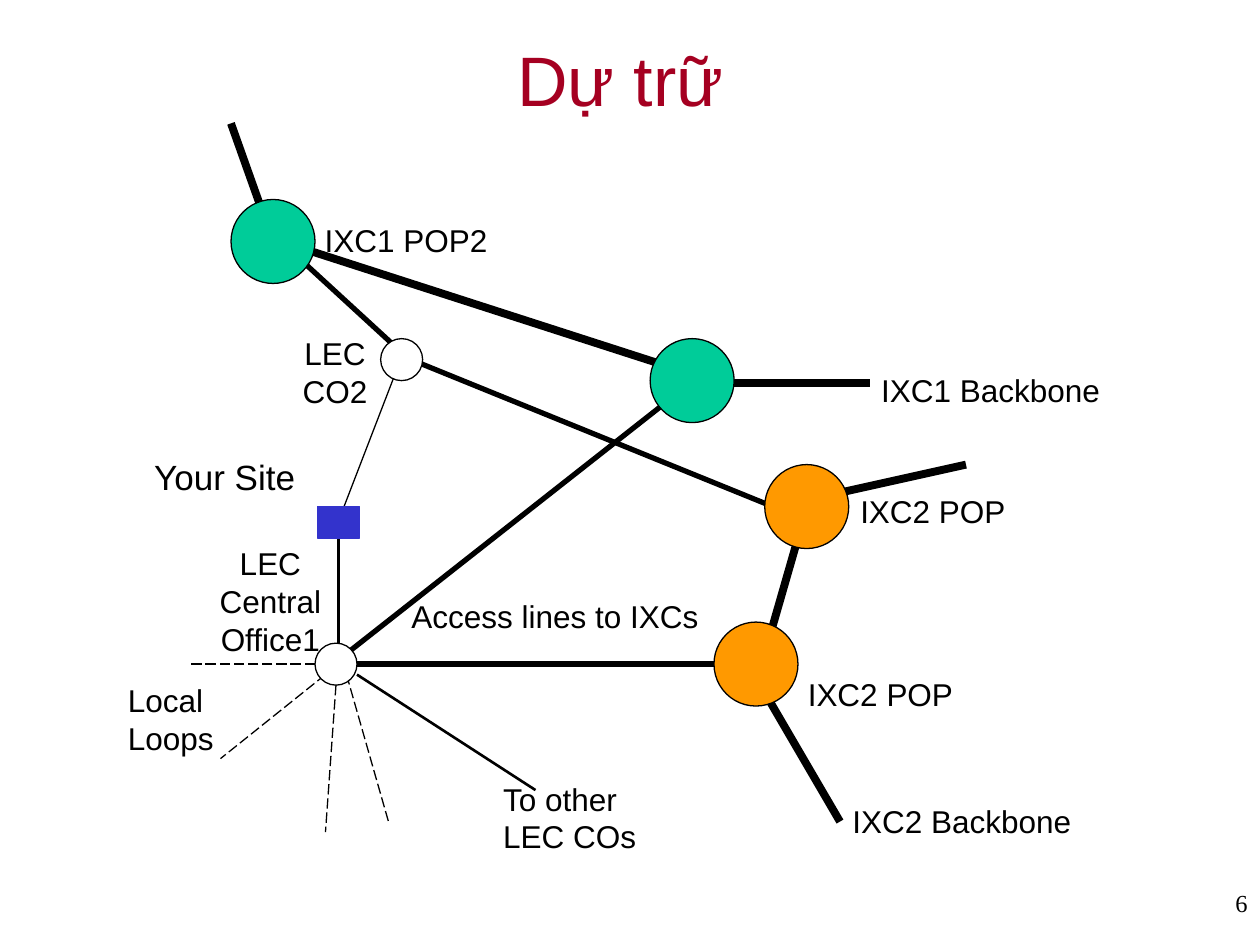
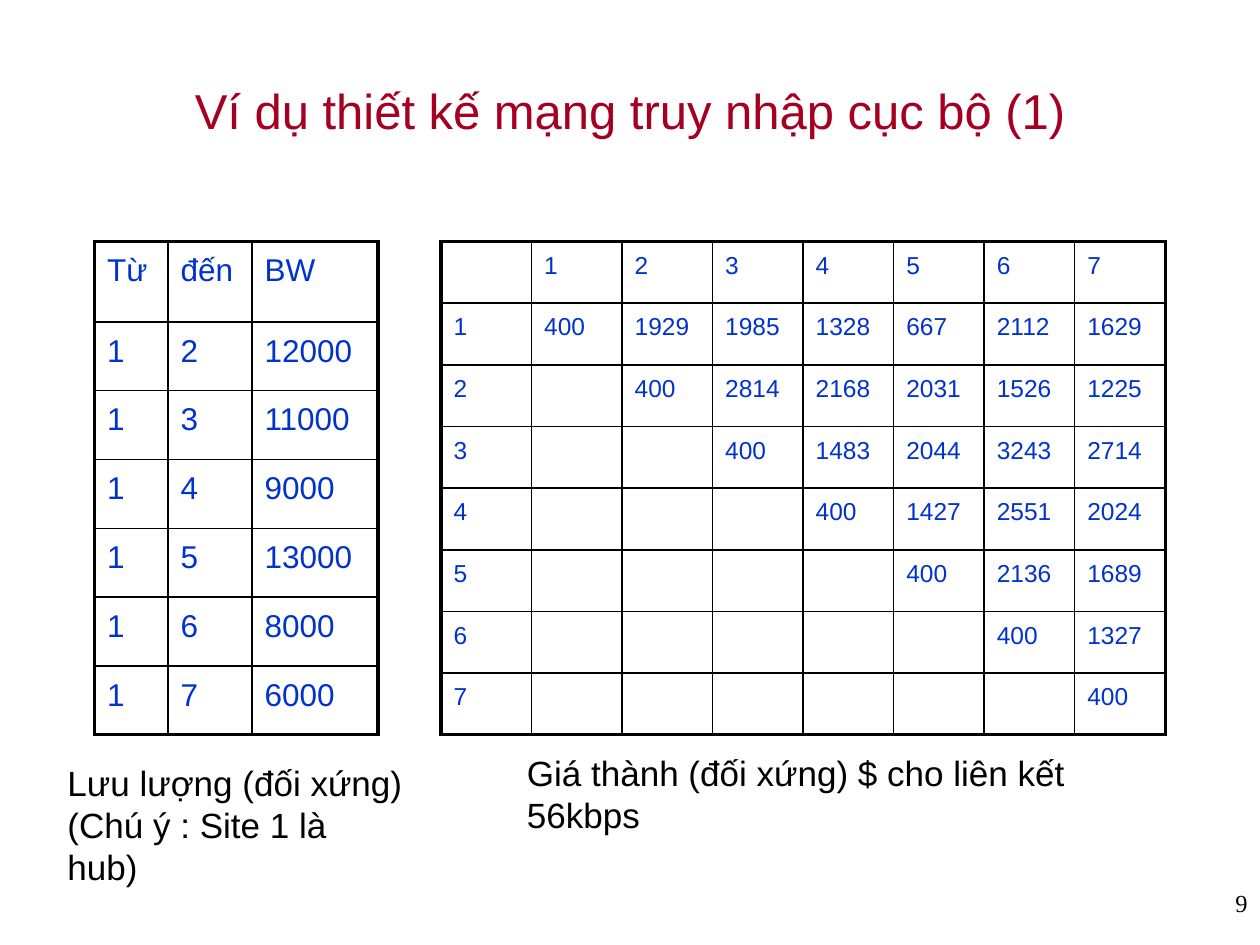
"""Build two slides on access network design: redundancy and a local access example."""
from dataclasses import dataclass
from typing import NamedTuple

from lxml import etree
from pptx import Presentation
from pptx.dml.color import RGBColor
from pptx.enum import dml, shapes, text
from pptx.oxml import ns
from pptx.util import Pt


@dataclass(frozen=True)
class Theme:
    """Colours, fonts and sizes shared by the slides."""
    black: str = "000000"
    white: str = "FFFFFF"
    title: str = "A50021"
    table_ink: str = "0033CC"
    carrier_1: str = "00CC99"
    carrier_2: str = "FF9900"
    site: str = "3333CC"
    font: str = "Arial"
    number_font: str = "Times New Roman"
    title_size: float = 40
    long_title_size: float = 28
    caption_size: float = 20
    label_size: float = 18
    small_size: float = 14
    hairline: float = 0.75
    inner_border: float = 1
    outer_border: float = 2.25
    loop_line: float = 1.5
    access_line: float = 3
    backbone: float = 4.5


class Box(NamedTuple):
    """A frame in points."""
    left: float
    top: float
    width: float
    height: float


class Link(NamedTuple):
    """A straight line between two points."""
    x1: float
    y1: float
    x2: float
    y2: float
    weight: float
    dashed: bool = False


class Circle(NamedTuple):
    """A round network node."""
    left: float
    top: float
    size: float
    fill: str


class Label(NamedTuple):
    """A text frame with one or more lines."""
    box: Box
    lines: tuple[str, ...]
    size: float
    align: text.PP_ALIGN = text.PP_ALIGN.LEFT


THEME = Theme()
SLIDE_SIZE = (720, 540)
NUMBER_BOX = Box(570, 504, 150, 36)

LINKS = (
    Link(471, 283.5, 552, 265.5, THEME.backbone),
    Link(132, 70.5, 156, 138, THEME.backbone),
    Link(160.5, 138, 228, 200, THEME.access_line),
    Link(228, 208, 193.5, 297.5, THEME.hairline),
    Link(180, 379.5, 108, 379.5, THEME.hairline, True),
    Link(186, 385.5, 126, 433.5, THEME.hairline, True),
    Link(198, 385.5, 222, 469.5, THEME.hairline, True),
    Link(192, 391.5, 186, 475.5, THEME.hairline, True),
    Link(198, 373.5, 394.5, 219, THEME.access_line),
    Link(204, 379.5, 408, 379.5, THEME.access_line),
    Link(394.5, 219, 497, 219, THEME.backbone),
    Link(407, 217.5, 160.5, 138, THEME.backbone),
    Link(437, 373.5, 456, 307.5, THEME.backbone),
    Link(438, 397.5, 480, 469.5, THEME.backbone),
    Link(204, 385.5, 306, 451.5, THEME.loop_line),
    Link(241, 208, 438, 288, THEME.access_line),
)
SITE = Box(181.5, 289.5, 24, 18)
SITE_LOOP = Link(193.5, 368, 193.5, 307.5, THEME.loop_line)
CIRCLES = (
    Circle(371.5, 193.5, 48, THEME.carrier_1),
    Circle(132, 114, 48, THEME.carrier_1),
    Circle(408, 355.5, 48, THEME.carrier_2),
    Circle(437, 265.5, 48, THEME.carrier_2),
    Circle(180, 367.5, 24, THEME.white),
    Circle(217.5, 193.5, 24, THEME.white),
)
LABELS = (
    Label(Box(178.5, 123, 125, 29), ("IXC1 POP2",), THEME.label_size),
    Label(Box(454.5, 382, 115, 29), ("IXC2 POP",), THEME.label_size),
    Label(Box(484.5, 277.5, 115, 29), ("IXC2 POP",), THEME.label_size),
    Label(Box(112, 307.5, 85, 72), ("LEC", "Central", "Office1"), THEME.label_size,
          text.PP_ALIGN.CENTER),
    Label(Box(161.5, 187.5, 60, 50.5), ("LEC", "CO2"), THEME.label_size,
          text.PP_ALIGN.CENTER),
    Label(Box(66, 385.5, 75, 50.5), ("Local", "Loops"), THEME.label_size),
    Label(Box(496.5, 208.5, 160, 29), ("IXC1 Backbone",), THEME.label_size),
    Label(Box(480, 455, 160, 29), ("IXC2 Backbone",), THEME.label_size),
    Label(Box(228, 337.5, 195, 29), ("Access lines to IXCs",), THEME.label_size),
    Label(Box(280.5, 442, 105, 50.5), ("To other", "LEC COs"), THEME.label_size),
    Label(Box(81, 257, 110, 31), ("Your Site",), THEME.caption_size),
)

HUB_TRAFFIC = (12000, 11000, 9000, 13000, 8000, 6000)
LINK_COSTS = (
    (400, 1929, 1985, 1328, 667, 2112, 1629),
    (400, 2814, 2168, 2031, 1526, 1225),
    (400, 1483, 2044, 3243, 2714),
    (400, 1427, 2551, 2024),
    (400, 2136, 1689),
    (400, 1327),
    (400,),
)
CAPTIONS = (
    Label(Box(31.5, 431.5, 207.5, 80),
          ("Lưu lượng (đối xứng)", "(Chú ý : Site 1 là hub)"), THEME.caption_size),
    Label(Box(294, 426, 370, 56),
          ("Giá thành (đối xứng) $ cho liên kết 56kbps",), THEME.caption_size),
)


def rgb(colour: str) -> RGBColor:
    """Turn a hex string into a colour."""
    return RGBColor.from_string(colour)


def points(box: Box) -> tuple[Pt, ...]:
    """Turn a frame into lengths."""
    return tuple(Pt(length) for length in box)


def add_run(paragraph, words: str, size: float, colour: str, font: str = THEME.font) -> None:
    """Add one styled run to a paragraph."""
    run = paragraph.add_run()
    run.text = words
    run.font.name = font
    run.font.size = Pt(size)
    run.font.color.rgb = rgb(colour)


def add_label(slide, label: Label, colour: str = THEME.black, font: str = THEME.font):
    """Add a text box with one paragraph per line and return its frame."""
    frame = slide.shapes.add_textbox(*points(label.box)).text_frame
    frame.word_wrap = True
    for index, line in enumerate(label.lines):
        paragraph = frame.add_paragraph() if index else frame.paragraphs[0]
        paragraph.alignment = label.align
        add_run(paragraph, line, label.size, colour, font)
    return frame


def add_page(deck, title: str, box: Box, size: float, number: int):
    """Add a blank slide with its title and page number."""
    slide = deck.slides.add_slide(deck.slide_layouts[6])
    heading = Label(box, (title,), size, text.PP_ALIGN.CENTER)
    add_label(slide, heading, THEME.title).vertical_anchor = text.MSO_ANCHOR.MIDDLE
    page_number = Label(NUMBER_BOX, (str(number),), THEME.small_size, text.PP_ALIGN.RIGHT)
    add_label(slide, page_number, font=THEME.number_font)
    return slide


def add_link(slide, link: Link):
    """Draw one line of the network."""
    ends = (Pt(length) for length in link[:4])
    connector = slide.shapes.add_connector(shapes.MSO_CONNECTOR.STRAIGHT, *ends)
    connector.line.color.rgb = rgb(THEME.black)
    connector.line.width = Pt(link.weight)
    if link.dashed:
        connector.line.dash_style = dml.MSO_LINE.LONG_DASH
    etree.SubElement(connector._element.spPr, ns.qn("a:effectLst"))
    return connector


def add_node(slide, kind, box: Box, fill: str, outline: str):
    """Draw a filled network node."""
    node = slide.shapes.add_shape(kind, *points(box))
    node.shadow.inherit = False
    node.fill.solid()
    node.fill.fore_color.rgb = rgb(fill)
    node.line.color.rgb = rgb(outline)
    node.line.width = Pt(THEME.hairline)
    return node


def set_borders(cell, outer_sides: dict[str, bool]) -> None:
    """Give a cell thick borders on the table's edge and thin ones inside."""
    properties = cell._tc.get_or_add_tcPr()
    for side, outer in outer_sides.items():
        weight = THEME.outer_border if outer else THEME.inner_border
        border = etree.SubElement(properties, ns.qn(f"a:ln{side}"), w=str(Pt(weight)))
        fill = etree.SubElement(border, ns.qn("a:solidFill"))
        etree.SubElement(fill, ns.qn("a:srgbClr"), val=THEME.black)


def add_grid(slide, left: float, top: float, rows: list[list], widths: list[float],
             heights: list[float], size: float) -> None:
    """Add a ruled table with the given rows."""
    box = Box(left, top, sum(widths), sum(heights))
    table = slide.shapes.add_table(len(rows), len(widths), *points(box)).table
    table.first_row = table.horz_banding = False
    for column, width in zip(table.columns, widths):
        column.width = Pt(width)
    for r, (values, height) in enumerate(zip(rows, heights)):
        table.rows[r].height = Pt(height)
        for c, value in enumerate(values):
            cell = table.cell(r, c)
            set_borders(cell, {"L": c == 0, "R": c == len(widths) - 1,
                               "T": r == 0, "B": r == len(rows) - 1})
            cell.fill.solid()
            cell.fill.fore_color.rgb = rgb(THEME.white)
            if value != "":
                paragraph = cell.text_frame.paragraphs[0]
                paragraph.line_spacing = 1.15
                add_run(paragraph, str(value), size, THEME.table_ink)


def build_redundancy(deck) -> None:
    """Build the diagram of redundant access lines."""
    slide = add_page(deck, "Dự trữ ", Box(36, 0, 648, 90), THEME.title_size, 6)
    for link in LINKS:
        add_link(slide, link)
    site_loop = add_link(slide, SITE_LOOP)
    for circle in CIRCLES:
        box = Box(circle.left, circle.top, circle.size, circle.size)
        add_node(slide, shapes.MSO_SHAPE.OVAL, box, circle.fill, THEME.black)
    site = add_node(slide, shapes.MSO_SHAPE.RECTANGLE, SITE, THEME.site, THEME.site)
    site_loop.end_connect(site, 2)
    for label in LABELS:
        add_label(slide, label)


def build_example(deck) -> None:
    """Build the traffic and cost tables."""
    slide = add_page(deck, "Ví dụ thiết kế mạng truy nhập cục bộ (1)",
                     Box(54, 18, 612, 90), THEME.long_title_size, 9)
    traffic = [["Từ", "đến", "BW"]]
    traffic += [[1, site, load] for site, load in enumerate(HUB_TRAFFIC, 2)]
    add_grid(slide, 54, 138, traffic, [42, 48, 72], [46] + [39.33] * 6, THEME.label_size)
    count = len(LINK_COSTS)
    costs = [["", *range(1, count + 1)]]
    costs += [[site, *[""] * (site - 1), *row] for site, row in enumerate(LINK_COSTS, 1)]
    add_grid(slide, 252, 138, costs, [51.75] * (count + 1), [35.25] * (count + 1),
             THEME.small_size)
    for caption in CAPTIONS:
        add_label(slide, caption)


def main() -> None:
    """Build and save the deck."""
    deck = Presentation()
    deck.slide_width, deck.slide_height = (Pt(length) for length in SLIDE_SIZE)
    build_redundancy(deck)
    build_example(deck)
    deck.save("out.pptx")


if __name__ == "__main__":
    main()
